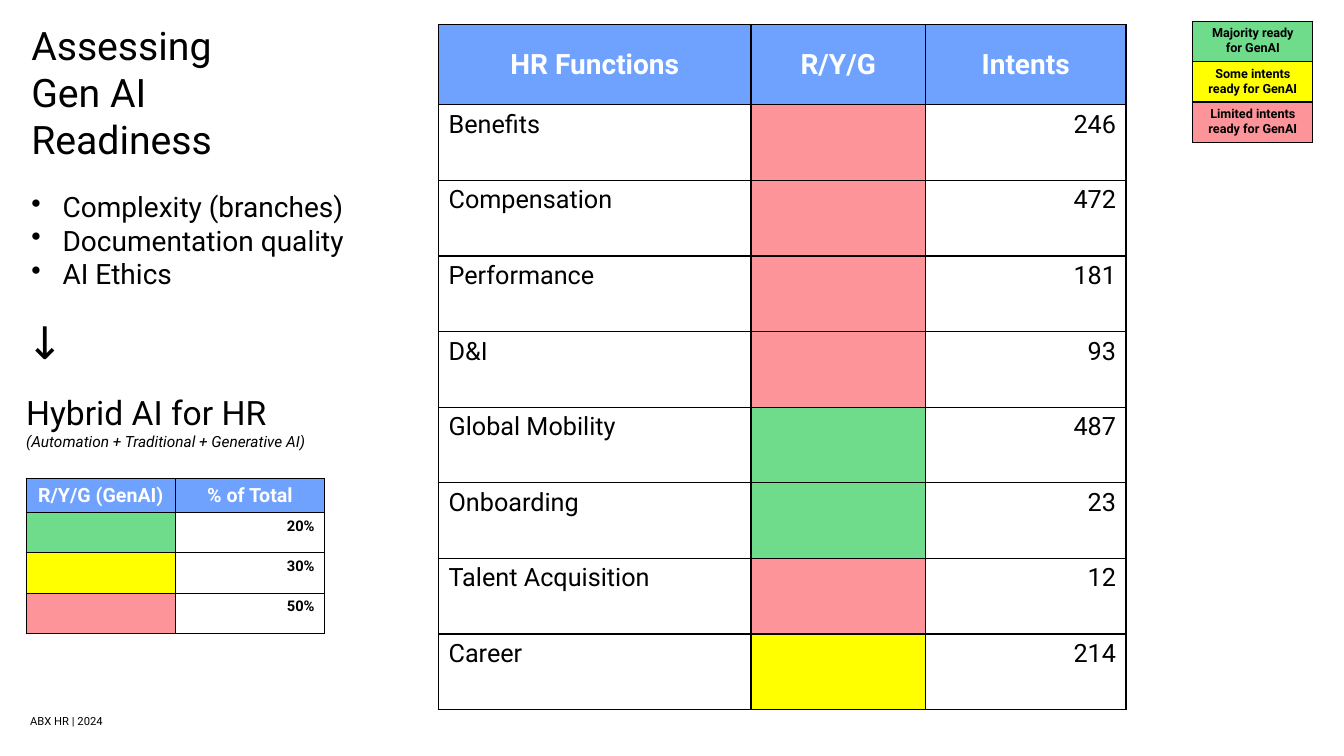
from lxml import etree
from pptx import Presentation
from pptx.dml.color import RGBColor as RGB
from pptx.enum.text import MSO_ANCHOR as ANCHOR, PP_ALIGN as ALIGN
from pptx.oxml.ns import qn
from pptx.util import Inches, Pt

BLACK, WHITE = RGB(0, 0, 0), RGB(255, 255, 255)
BLUE = RGB(0x6E, 0xA2, 0xFE)
GREEN, YELLOW, RED = RGB(0x6F, 0xDC, 0x8C), RGB(255, 255, 0), RGB(0xFC, 0x94, 0x9A)
FONT = "Roboto"
WIDTH, HEIGHT = Inches(13.33), Inches(7.5)

FUNCTIONS = [
    ("Benefits", RED, 246), ("Compensation", RED, 472),
    ("Performance", RED, 181), ("D&I", RED, 93),
    ("Global Mobility", GREEN, 487), ("Onboarding", GREEN, 23),
    ("Talent Acquisition", RED, 12), ("Career", YELLOW, 214),
]
SHARES = [(GREEN, "20%"), (YELLOW, "30%"), (RED, "50%")]
LEGEND = [("Majority ready for GenAI", GREEN),
          ("Some intents ready for GenAI", YELLOW),
          ("Limited intents ready for GenAI", RED)]


def place(box):
    """Turn a box in percent of the slide into slide lengths."""
    x, y, w, h = box
    return [int(side * share / 100)
            for side, share in zip((WIDTH, HEIGHT) * 2, (x, y, w, h))]


def write(p, text, size=18, color=BLACK, bold=False, italic=False,
          align=ALIGN.LEFT, bullet=False):
    if bullet:
        pPr = p._p.get_or_add_pPr()
        pPr.set("marL", str(Inches(0.31)))
        pPr.set("indent", str(-Inches(0.31)))
        etree.SubElement(pPr, qn("a:buChar")).set("char", "•")
    p.alignment = align
    r = p.add_run()
    r.text = text
    r.font.name, r.font.size = FONT, Pt(size)
    r.font.bold, r.font.italic = bold, italic
    r.font.color.rgb = color


def add_text(s, box, lines, inset=0):
    """Each line is a text with its format."""
    tf = s.shapes.add_textbox(*place(box)).text_frame
    tf.word_wrap = True
    tf.margin_left = tf.margin_right = Inches(inset)
    tf.margin_top = tf.margin_bottom = Inches(inset / 2)
    for i, (text, style) in enumerate(lines):
        write(tf.add_paragraph() if i else tf.paragraphs[0], text, **style)


def add_borders(cell):
    tcPr = cell._tc.get_or_add_tcPr()
    for i, side in enumerate(("a:lnL", "a:lnR", "a:lnT", "a:lnB")):
        ln = etree.Element(qn(side), w=str(Pt(1)))
        fill = etree.SubElement(ln, qn("a:solidFill"))
        etree.SubElement(fill, qn("a:srgbClr"), val=str(BLACK))
        tcPr.insert(i, ln)


def add_grid(s, box, cols, rows, cells):
    """Cols and rows are relative sizes; a cell is (text, fill, format)."""
    x, y, w, h = place(box)
    table = s.shapes.add_table(len(rows), len(cols), x, y, w, h).table
    for col, part in zip(table.columns, cols):
        col.width = int(w * part / sum(cols))
    for row, part in zip(table.rows, rows):
        row.height = int(h * part / sum(rows))
    for i, line in enumerate(cells):
        for j, (text, fill, style) in enumerate(line):
            cell = table.cell(i, j)
            cell.fill.solid()
            cell.fill.fore_color.rgb = fill
            cell.vertical_anchor = (ANCHOR.MIDDLE if fill == BLUE
                                    else ANCHOR.TOP)
            write(cell.text_frame.paragraphs[0], text, **style)
            add_borders(cell)


def header(titles, size):
    style = dict(size=size, color=WHITE, bold=True, align=ALIGN.CENTER)
    return [(title, BLUE, style) for title in titles]


def add_message(s):
    add_text(s, (2.33, 2.8, 23.26, 18.67),
             [(t, dict(size=28)) for t in ("Assessing", "Gen AI", "Readiness")])
    add_text(s, (2.33, 25.07, 24.31, 15.87),
             [(t, dict(size=20, bullet=True)) for t in
              ("Complexity (branches)", "Documentation quality", "AI Ethics")])
    add_text(s, (1.95, 41.6, 21.83, 8.4), [("↓", dict(size=32))])
    add_text(s, (1.95, 51.87, 27.38, 9.47),
             [("Hybrid AI for HR", dict(size=24)),
              ("(Automation + Traditional + Generative AI)",
               dict(size=11, italic=True))])
    add_text(s, (1.5, 93.87, 22.66, 3.6), [("ABX HR | 2024", dict(size=8))],
             inset=0.1)


def add_functions(s, box):
    cells = [header(("HR Functions", "R/Y/G", "Intents"), 20)]
    for name, status, intents in FUNCTIONS:
        cells.append([(name, WHITE, {}), ("", status, {}),
                      (str(intents), WHITE, dict(align=ALIGN.RIGHT))])
    add_grid(s, box, (3.1, 1.73, 1.99), [0.8] + [0.75] * len(FUNCTIONS), cells)


def add_shares(s, box):
    style = dict(size=10.5, bold=True, align=ALIGN.RIGHT)
    cells = [header(("R/Y/G (GenAI)", "% of Total"), 14)]
    cells += [[("", status, style), (share, WHITE, style)]
              for status, share in SHARES]
    add_grid(s, box, (1, 1), [0.33] + [0.39] * len(SHARES), cells)


def add_legend(s, box):
    style = dict(size=9, bold=True, align=ALIGN.CENTER)
    add_grid(s, box, [1], [1] * len(LEGEND),
             [[(text, status, style)] for text, status in LEGEND])


def main():
    prs = Presentation()
    prs.slide_width, prs.slide_height = WIDTH, HEIGHT
    s = prs.slides.add_slide(prs.slide_layouts[6])
    add_message(s)
    add_functions(s, (32.63, 3.2, 51.16, 90.67))
    add_legend(s, (88.75, 2.8, 8.93, 16))
    add_shares(s, (1.95, 63.33, 22.21, 20))
    prs.save("out.pptx")


if __name__ == "__main__":
    main()
